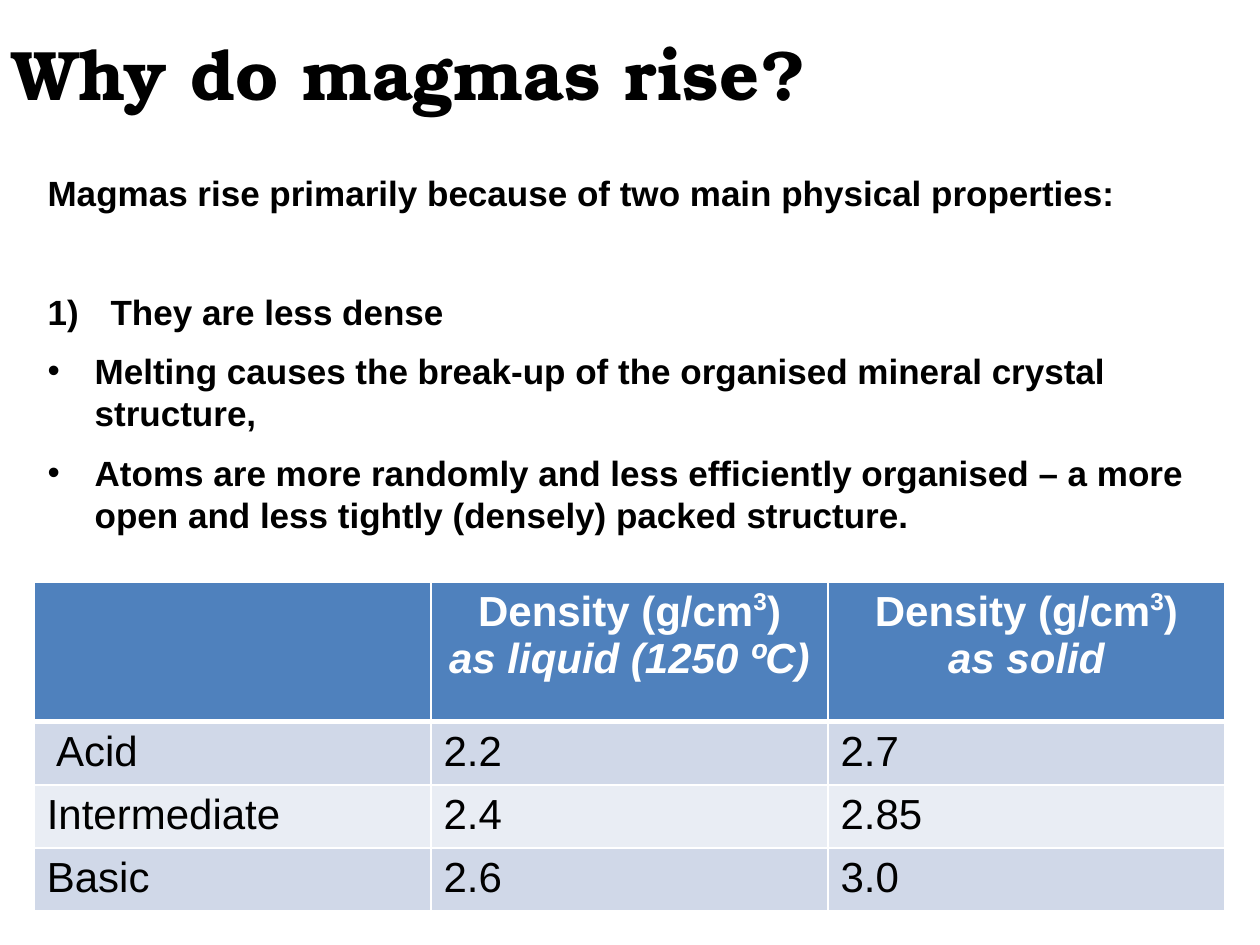
"""Build a slide on why magmas rise, with a density table."""
from dataclasses import dataclass

import pptx
import pptx.dml.color
import pptx.enum.shapes
import pptx.enum.text
import pptx.oxml.ns
import pptx.oxml.xmlchemy
import pptx.util
from lxml import etree

Cm = pptx.util.Cm
Pt = pptx.util.Pt
RGB = pptx.dml.color.RGBColor
ALIGN = pptx.enum.text.PP_ALIGN
qn = pptx.oxml.ns.qn

BLACK = RGB(0, 0, 0)
WHITE = RGB(0xFF, 0xFF, 0xFF)
BLUE = RGB(0x4F, 0x81, 0xBD)
BANDS = (RGB(0xD0, 0xD8, 0xE8), RGB(0xE9, 0xED, 0xF4))


@dataclass(frozen=True)
class Item:
    text: str
    gap: float = 10
    hang: float = 0
    tag: str = ""
    attrs: tuple = ()


DOT = ("buChar", (("char", "•"),))
ITEMS = (
    Item("Magmas rise primarily because of two main physical properties:", 0),
    Item("They are less dense", 44, 1.27, "buAutoNum", (("type", "arabicParenR"),)),
    Item("Melting causes the break-up of the organised mineral crystal structure,", 10, 0.95, *DOT),
    Item("Atoms are more randomly and less efficiently organised – a more open "
         "and less tightly (densely) packed structure.", 10, 0.95, *DOT),
)
HEADS = ("", "as liquid (1250 ºC)", "as solid")
ROWS = (
    (" Acid", "2.2", "2.7"),
    ("Intermediate", "2.4", "2.85"),
    ("Basic", "2.6", "3.0"),
)


def style(para, size: float, color: RGB, bold: bool, face: str = "Arial") -> None:
    font = para.font
    font.name, font.size, font.bold = face, Pt(size), bold
    font.color.rgb = color


def title(slide, text: str) -> None:
    kind = pptx.enum.shapes.MSO_SHAPE.RECTANGLE
    shape = slide.shapes.add_shape(kind, 0, 0, Cm(25.4), Cm(2.92))
    shape.shadow.inherit = False
    shape.line.fill.background()
    shape.fill.solid()
    shape.fill.fore_color.rgb = WHITE
    tint = shape.fill._xPr.find(".//" + qn("a:srgbClr"))
    etree.SubElement(tint, qn("a:alpha"), val="60000")
    frame = shape.text_frame
    frame.vertical_anchor = pptx.enum.text.MSO_ANCHOR.MIDDLE
    para = frame.paragraphs[0]
    para.text = text
    para.alignment = ALIGN.LEFT
    style(para, 40, BLACK, True, "TeX Gyre Bonum")


def body(slide, items: tuple) -> None:
    frame = slide.shapes.add_textbox(Cm(0.71), Cm(3.33), Cm(23.6), Cm(7.95)).text_frame
    frame.word_wrap = True
    for i, item in enumerate(items):
        para = frame.add_paragraph() if i else frame.paragraphs[0]
        para.text = item.text
        para.space_before = Pt(item.gap)
        para.line_spacing = Pt(24)
        if item.tag:
            props = para._p.get_or_add_pPr()
            props.set("marL", str(Cm(item.hang)))
            props.set("indent", str(-Cm(item.hang)))
            etree.SubElement(props, qn("a:buFont"), typeface="Arial")
            etree.SubElement(props, qn("a:" + item.tag), dict(item.attrs))
        style(para, 20, BLACK, True)


def paint(cell, fill: RGB, row: int) -> None:
    props = cell._tc.get_or_add_tcPr()
    for side in "LRTB":
        thick = (row, side) in ((0, "B"), (1, "T"))
        line = etree.SubElement(props, qn("a:ln" + side), w=str(Pt(3 if thick else 1)))
        solid = etree.SubElement(line, qn("a:solidFill"))
        etree.SubElement(solid, qn("a:srgbClr"), val=str(WHITE))
    cell.fill.solid()
    cell.fill.fore_color.rgb = fill


def head(cell, note: str) -> None:
    frame = cell.text_frame
    unit, sub = frame.paragraphs[0], frame.add_paragraph()
    for text in ("Density (g/cm", "3", ")"):
        run = unit.add_run()
        run.text = text
        if text == "3":
            run._r.get_or_add_rPr().set("baseline", "40000")
    sub.text = note
    for para in (unit, sub):
        para.alignment = ALIGN.CENTER
        style(para, 24, WHITE, True)
    sub.font.italic = True


def grid(slide) -> None:
    table = slide.shapes.add_table(
        len(ROWS) + 1, len(HEADS), Cm(0.69), Cm(11.73), Cm(24), Cm(6.63)).table
    for col in table.columns:
        col.width = Cm(8)
    for i, row in enumerate(table.rows):
        row.height = Cm(1.27 if i else 2.82)
    for j, note in enumerate(HEADS):
        cell = table.cell(0, j)
        paint(cell, BLUE, 0)
        if note:
            head(cell, note)
    for i, row in enumerate(ROWS, 1):
        for j, text in enumerate(row):
            cell = table.cell(i, j)
            paint(cell, BANDS[(i - 1) % 2], i)
            para = cell.text_frame.paragraphs[0]
            para.text = text
            style(para, 24, BLACK, False)


def main() -> None:
    deck = pptx.Presentation()
    deck.slide_width, deck.slide_height = Cm(25.4), Cm(19.05)
    slide = deck.slides.add_slide(deck.slide_layouts[6])
    title(slide, "Why do magmas rise?")
    body(slide, ITEMS)
    grid(slide)
    deck.save("out.pptx")


if __name__ == "__main__":
    main()
